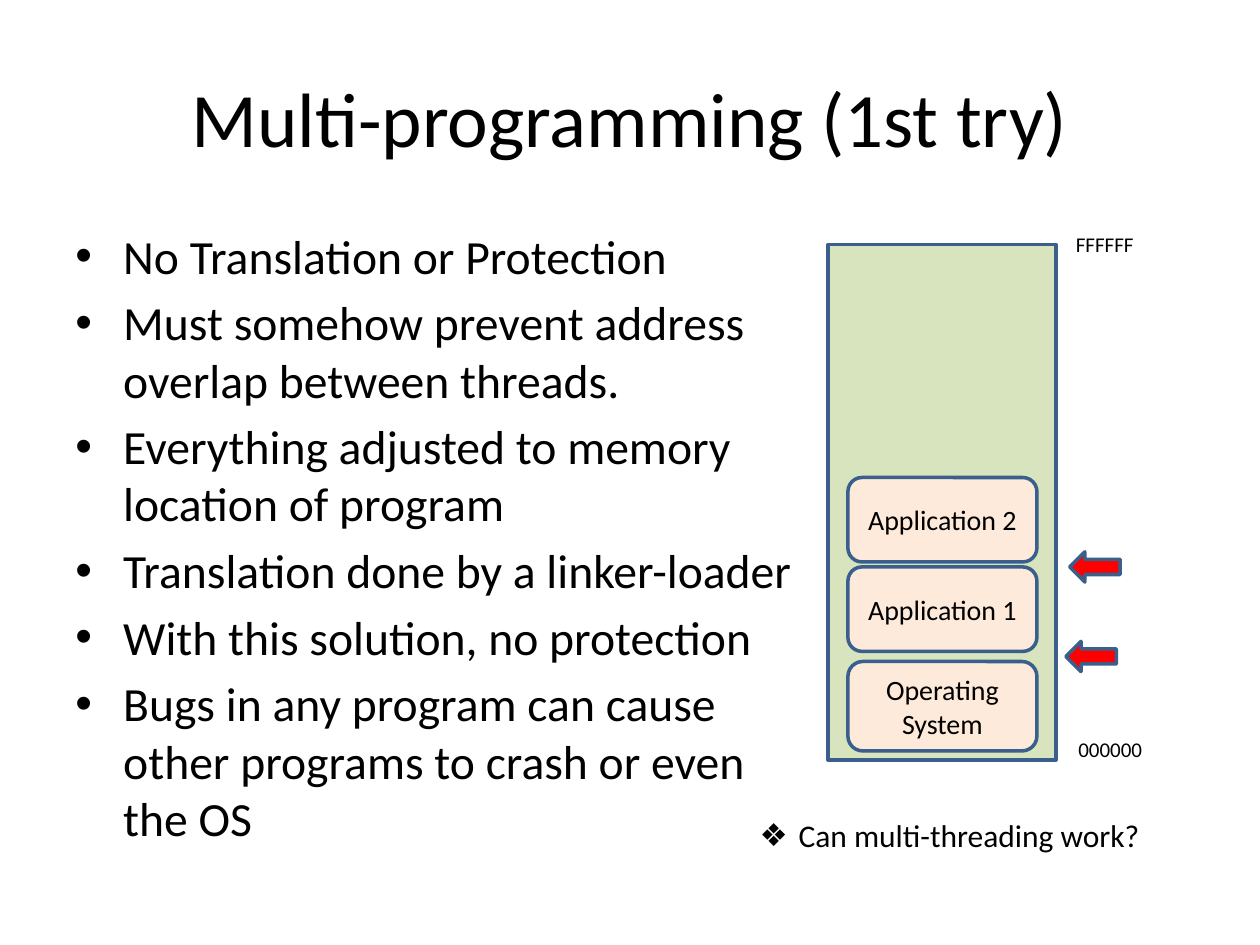
"""Build the multi-programming slide with its memory map."""
import dataclasses

import lxml.etree
import pptx
import pptx.dml.color
import pptx.enum.shapes
import pptx.enum.text
import pptx.oxml.ns
import pptx.util

Inches = pptx.util.Inches
Shape = pptx.enum.shapes.MSO_SHAPE
Align = pptx.enum.text.PP_ALIGN
Anchor = pptx.enum.text.MSO_ANCHOR


@dataclasses.dataclass(frozen=True)
class Theme:
    font: str = "Calibri"
    ink: str = "000000"
    outline: str = "3A5F8C"
    memory: str = "D7E4BD"
    program: str = "FDEADA"
    pointer: str = "FF0000"
    title_size: float = 44
    body_size: float = 27.2
    question_size: float = 18
    program_size: float = 16
    address_size: float = 12
    line_width: float = 2
    body_gap: float = 5.44


class SlideBuilder:
    def __init__(self, slide, theme):
        self.slide = slide
        self.theme = theme

    def add_span(self, para, text, size, align=Align.LEFT):
        para.alignment = align
        span = para.add_run()
        span.text = text
        span.font.name = self.theme.font
        span.font.size = pptx.util.Pt(size)
        span.font.color.rgb = pptx.dml.color.RGBColor.from_string(self.theme.ink)

    def bullet(self, para, symbol, indent):
        properties = para._p.get_or_add_pPr()
        properties.set("marL", str(Inches(indent)))
        properties.set("indent", str(-Inches(indent)))
        for tag, name, value in (("a:buFont", "typeface", "Arial"), ("a:buChar", "char", symbol)):
            element = lxml.etree.SubElement(properties, pptx.oxml.ns.qn(tag))
            element.set(name, value)

    def text(self, place, lines, size, align=Align.LEFT, anchor=Anchor.TOP,
             wrap=True, symbol=None, indent=0, gap=0):
        box = self.slide.shapes.add_textbox(*map(Inches, place))
        frame = box.text_frame
        frame.word_wrap = wrap
        frame.vertical_anchor = anchor
        for index, line in enumerate(lines):
            para = frame.add_paragraph() if index else frame.paragraphs[0]
            if symbol:
                self.bullet(para, symbol, indent)
            if index and gap:
                para.space_before = pptx.util.Pt(gap)
            self.add_span(para, line, size, align)

    def shape(self, kind, place, fill, label=None):
        shape = self.slide.shapes.add_shape(kind, *map(Inches, place))
        shape.shadow.inherit = False
        shape.fill.solid()
        shape.fill.fore_color.rgb = pptx.dml.color.RGBColor.from_string(fill)
        shape.line.color.rgb = pptx.dml.color.RGBColor.from_string(self.theme.outline)
        shape.line.width = pptx.util.Pt(self.theme.line_width)
        if label:
            frame = shape.text_frame
            frame.word_wrap = True
            frame.vertical_anchor = Anchor.MIDDLE
            self.add_span(frame.paragraphs[0], label, self.theme.program_size, Align.CENTER)


def main():
    deck = pptx.Presentation()
    deck.slide_width, deck.slide_height = Inches(10), Inches(7.5)
    theme = Theme()
    page = SlideBuilder(deck.slides.add_slide(deck.slide_layouts[6]), theme)

    page.text((0.5, 0.3, 9, 1.25), ["Multi-programming (1st try)"], theme.title_size,
              align=Align.CENTER, anchor=Anchor.MIDDLE)
    points = [
        "No Translation or Protection",
        "Must somehow prevent address overlap between threads.",
        "Everything adjusted to memory location of program",
        "Translation done by a linker-loader",
        "With this solution, no protection",
        "Bugs in any program can cause other programs to crash or even the OS",
    ]
    page.text((0.5, 1.75, 6, 4.95), points, theme.body_size,
              symbol="•", indent=0.38, gap=theme.body_gap)

    page.shape(Shape.RECTANGLE, (6.57, 1.94, 1.81, 4.09), theme.memory)
    programs = [("Operating System", 5.25, 0.71), ("Application 1", 4.5, 0.67),
                ("Application 2", 3.79, 0.67)]
    for label, top, height in programs:
        page.shape(Shape.ROUNDED_RECTANGLE, (6.73, top, 1.5, height), theme.program, label)
    for address, left, top in (("000000", 8.46, 5.8), ("FFFFFF", 8.44, 1.79)):
        page.text((left, top, 0.87, 0.3), [address], theme.address_size)
    for left, top in ((8.46, 5.09), (8.49, 4.38)):
        page.shape(Shape.LEFT_ARROW, (left, top, 0.4, 0.24), theme.pointer)

    page.text((5.93, 6.43, 3.26, 0.4), ["Can multi-threading work?"], theme.question_size,
              wrap=False, symbol="❖", indent=0.31)
    deck.save("out.pptx")


if __name__ == "__main__":
    main()
